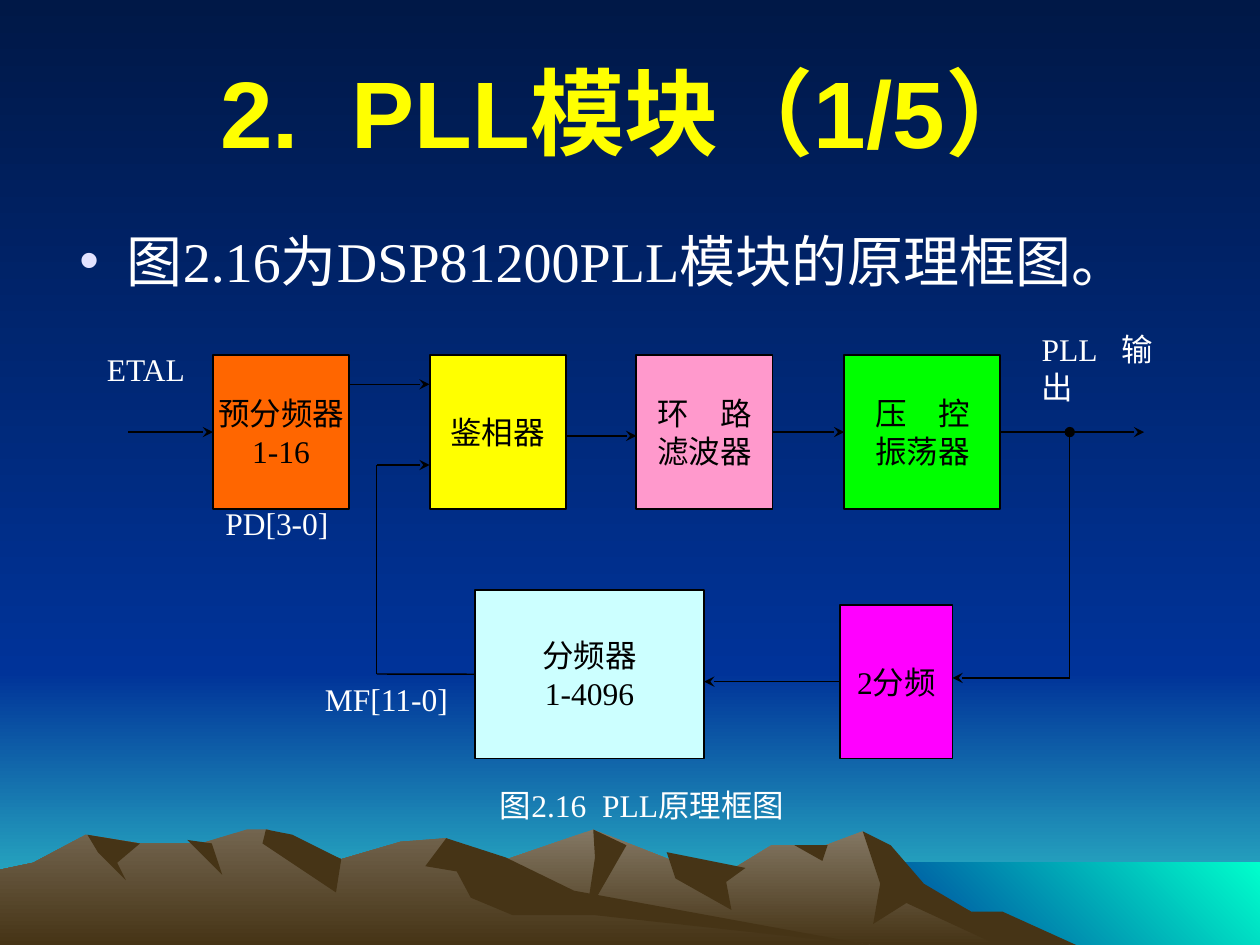
"""Build the PLL module block diagram slide."""
from lxml import etree
from pptx import Presentation
from pptx.dml.color import RGBColor
from pptx.enum.shapes import MSO_CONNECTOR, MSO_SHAPE
from pptx.enum.text import MSO_ANCHOR, MSO_AUTO_SIZE, PP_ALIGN
from pptx.oxml.ns import qn
from pptx.util import Pt

RECTANGLE = MSO_SHAPE.RECTANGLE
STRAIGHT = MSO_CONNECTOR.STRAIGHT
TOP, MIDDLE = MSO_ANCHOR.TOP, MSO_ANCHOR.MIDDLE
LEFT, CENTER, JUSTIFY = PP_ALIGN.LEFT, PP_ALIGN.CENTER, PP_ALIGN.JUSTIFY
SERIF, SANS, CHINESE = "Times New Roman", "Arial", "Noto Sans CJK SC"
BLACK, WHITE, YELLOW = "000000", "FFFFFF", "FFFF00"
SKY = ("001847", "003399")
SHADE = ("463416",)
WIDTH, HEIGHT, HORIZON = 720, 540, 384

TITLE = "2.  PLL模块（1/5）"
BODY = "图2.16为DSP81200PLL模块的原理框图。"

SCENERY = [
    ((0, HORIZON, WIDTH, HEIGHT - HORIZON), ("003399", "33CCCC"), 270),
    ((0, 0, WIDTH, HORIZON), SKY, 270),
    ((492, 493, 228, 47), ("003399", "00FFCC"), 45),
]

MOUNTAINS = [
    (("847864", "463416"), [
        (186, HEIGHT), (284, 493), (339, 474), (410, 502), (441, 483), (472, 483),
        (493, 475), (521, 503), (590, HEIGHT)]),
    (SHADE, [
        (493, 475), (503, 505), (499, 528), (518, 516), (570, HEIGHT), (615, HEIGHT),
        (573, 521), (555, 521), (528, 505), (509, 483)]),
    (SHADE, [(339, 474), (340, 490), (335, 523), (358, 483)]),
    (SHADE, [(381, 487), (386, 502), (418, 520), (415, 504), (426, 496)]),
    (SHADE, [(454, 483), (473, 483), (470, 492)]),
    (("73654F", "463416"), [
        (0, HEIGHT), (0, 497), (19, 493), (49, 477), (80, 482), (115, 482), (141, 474),
        (153, 474), (195, 491), (229, 481), (255, 479), (311, 513), (497, HEIGHT)]),
    (SHADE, [(152, 474), (150, 482), (192, 510), (195, 491), (167, 477)]),
    (SHADE, [
        (255, 479), (243, 495), (261, 498), (269, 513), (293, 523), (340, 523),
        (497, HEIGHT), (328, 509), (289, 490)]),
    (SHADE, [(107, 480), (121, 482), (127, 500)]),
    (SHADE, [(50, 477), (80, 482), (67, 493), (72, 503), (56, 487)]),
]

ROW_TOP, TALL = 203, 87.8
ROW_MIDDLE = ROW_TOP + TALL / 2
LOW_TOP = 345.6
LOW_MIDDLE = LOW_TOP + TALL / 2
RETURN_X, OUTPUT_X = 215.3, 611.3
FEEDBACK_Y, TAP_Y = 385.2, 387.4
INPUT_YS = (219.6, 265.7)

BLOCKS = {
    "prescaler": ("预分频器\n1-16", (121.7, ROW_TOP, 77.8, TALL), "FF6600"),
    "filter": ("环　路\n滤波器", (363.6, ROW_TOP, 77.8, TALL), "FF99CC"),
    "detector": ("鉴相器", (245.5, ROW_TOP, 77.8, TALL), YELLOW),
    "oscillator": ("压　控\n振荡器", (482.4, ROW_TOP, 89.3, TALL), "00FF00"),
    "halver": ("2分频", (480.2, LOW_TOP, 64.1, TALL), "FF00FF"),
    "divider": ("分频器\n1-4096", (271.4, 337, 131, 96.5), "CCFFFF"),
}

LABELS = [
    ("PD[3-0]", (121.7, 284.4, 74.2, 62)),
    ("ETAL", (54, 196.6, 67.7, 55.4)),
    ("MF[11-0]", (178.6, FEEDBACK_Y, 86.4, 36)),
    ("PLL输出", (588.2, 185, 77.8, 62)),
    ("图2.16  PLL原理框图", (278.6, 445.7, 211.7, 59.8)),
]

ARROW, DOT = ("tailEnd", "stealth"), ("headEnd", "oval")
WIRES = [
    ((73.4, ROW_MIDDLE), ("prescaler", 1), ARROW),
    ((199.5, INPUT_YS[0]), (245.5, INPUT_YS[0]), ARROW),
    (("divider", 1), (RETURN_X, FEEDBACK_Y), None),
    ((RETURN_X, FEEDBACK_Y), (RETURN_X, INPUT_YS[1]), None),
    ((RETURN_X, INPUT_YS[1]), (245.5, INPUT_YS[1]), ARROW),
    ((323.3, 249.1), (363.6, 249.1), ARROW),
    (("filter", 3), ("oscillator", 1), ARROW),
    (("oscillator", 3), (653.8, ROW_MIDDLE), ARROW),
    ((OUTPUT_X, ROW_MIDDLE), (OUTPUT_X, TAP_Y), DOT),
    ((OUTPUT_X, TAP_Y), (544.3, TAP_Y), ARROW),
    (("halver", 1), (402.4, LOW_MIDDLE), ARROW),
]


def rgb(code):
    return RGBColor.from_string(code)


def points(values):
    return [Pt(value) for value in values]


def paint(fill, colors, angle=270):
    if len(colors) == 1:
        fill.solid()
        fill.fore_color.rgb = rgb(colors[0])
        return
    fill.gradient()
    fill.gradient_angle = angle
    for stop, color in zip(fill.gradient_stops, colors):
        stop.color.rgb = rgb(color)


def write(shape, text, size, color, align, anchor=TOP, latin=SERIF, bold=False):
    frame = shape.text_frame
    frame.text = text
    frame.word_wrap = True
    frame.auto_size = MSO_AUTO_SIZE.NONE
    frame.vertical_anchor = anchor
    for paragraph in frame.paragraphs:
        paragraph.alignment = align
        paragraph.space_before = Pt(0)
        for run in paragraph.runs:
            run.font.size, run.font.bold, run.font.name = Pt(size), bold, latin
            run.font.color.rgb = rgb(color)
            etree.SubElement(run.font._element, qn("a:ea"), typeface=CHINESE)


def place(shape, box):
    shape.left, shape.top, shape.width, shape.height = points(box)


def add_scenery(shapes):
    for box, colors, angle in SCENERY:
        band = shapes.add_shape(RECTANGLE, *points(box))
        band.shadow.inherit = False
        band.line.fill.background()
        paint(band.fill, colors, angle)
    for colors, outline in MOUNTAINS:
        builder = shapes.build_freeform(*outline[0], scale=Pt(1))
        builder.add_line_segments(outline[1:], close=True)
        mountain = builder.convert_to_shape()
        mountain.shadow.inherit = False
        mountain.line.fill.background()
        paint(mountain.fill, colors)


def add_headings(slide):
    title, body = slide.shapes.title, slide.placeholders[1]
    for placeholder in (title, body):
        slide.shapes._spTree.append(placeholder._element)
    place(title, (36, 18, 648, 90))
    write(title, TITLE, 54, YELLOW, CENTER, MIDDLE, SANS, True)
    place(body, (38.2, 126, 648, 354))
    write(body, BODY, 32, WHITE, LEFT)
    properties = body.text_frame.paragraphs[0]._p.get_or_add_pPr()
    bullet_color = etree.SubElement(properties, qn("a:buClr"))
    etree.SubElement(bullet_color, qn("a:srgbClr"), val="E3E3FF")
    etree.SubElement(properties, qn("a:buChar"), char="•")


def add_block(shapes, text, box, color):
    block = shapes.add_shape(RECTANGLE, *points(box))
    block.shadow.inherit = False
    paint(block.fill, (color,))
    block.line.color.rgb, block.line.width = rgb(BLACK), Pt(1)
    frame = block.text_frame
    frame.margin_left = frame.margin_right = Pt(0)
    write(block, text, 18, BLACK, CENTER, MIDDLE)
    return block


def add_wire(shapes, blocks, begin, end, marker):
    begin_glued, end_glued = begin[0] in blocks, end[0] in blocks
    start = (0, 0) if begin_glued else begin
    finish = (0, 0) if end_glued else end
    wire = shapes.add_connector(STRAIGHT, *points(start + finish))
    if begin_glued:
        wire.begin_connect(blocks[begin[0]], begin[1])
    if end_glued:
        wire.end_connect(blocks[end[0]], end[1])
    wire.line.color.rgb, wire.line.width = rgb(BLACK), Pt(0.75)
    if marker:
        etree.SubElement(wire.line._get_or_add_ln(), qn("a:" + marker[0]), type=marker[1])
    etree.SubElement(wire._element.spPr, qn("a:effectLst"))


def main():
    presentation = Presentation()
    presentation.slide_width, presentation.slide_height = Pt(WIDTH), Pt(HEIGHT)
    slide = presentation.slides.add_slide(presentation.slide_layouts[1])
    shapes = slide.shapes
    paint(slide.background.fill, SKY)
    add_scenery(shapes)
    add_headings(slide)
    blocks = {name: add_block(shapes, *block) for name, block in BLOCKS.items()}
    for wire in WIRES:
        add_wire(shapes, blocks, *wire)
    for text, box in LABELS:
        write(shapes.add_textbox(*points(box)), text, 18, WHITE, JUSTIFY)
    presentation.save("out.pptx")


if __name__ == "__main__":
    main()
